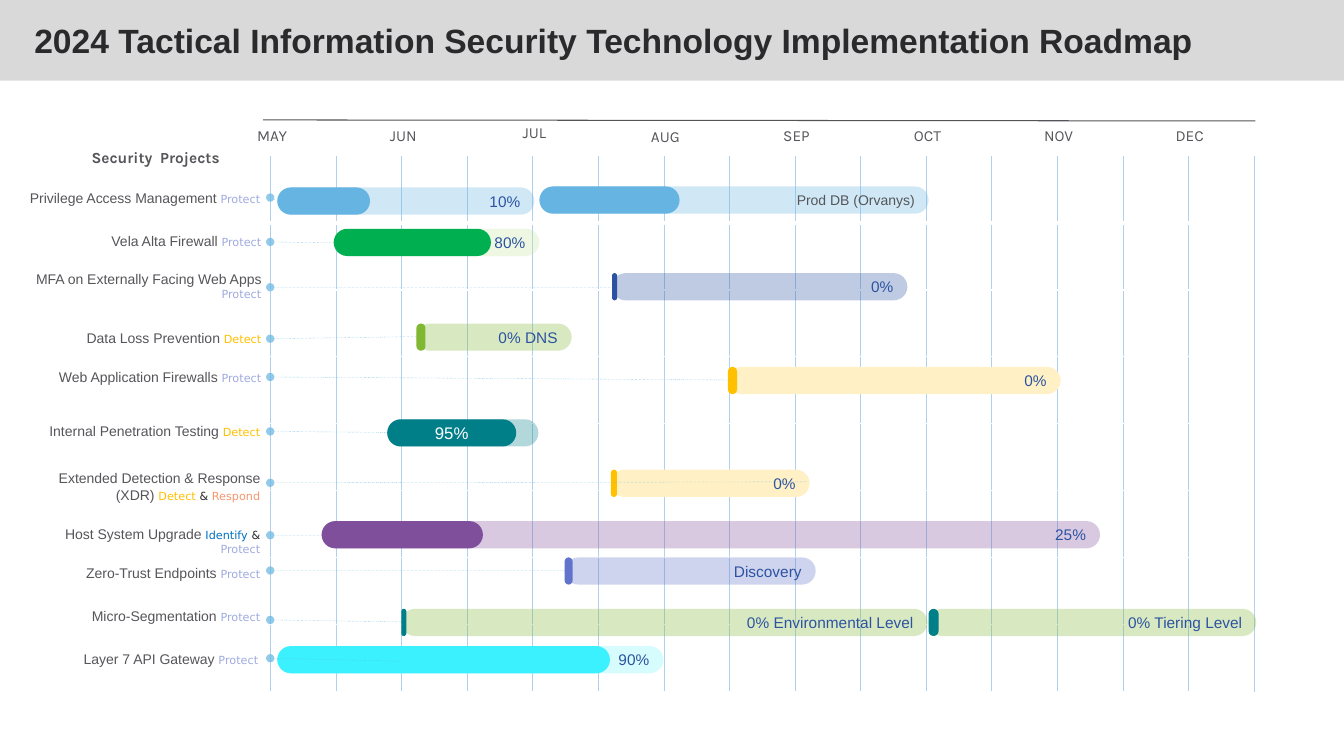
"""Build a one-slide security technology roadmap."""
from collections import namedtuple

from lxml.etree import SubElement
from pptx import Presentation
from pptx.dml.color import RGBColor
from pptx.enum.dml import MSO_LINE
from pptx.enum.shapes import MSO_CONNECTOR, MSO_SHAPE
from pptx.enum.text import MSO_ANCHOR, MSO_AUTO_SIZE, PP_ALIGN
from pptx.oxml.ns import qn
from pptx.util import Inches, Pt

COLORS = {
    "white": "FFFFFF", "banner": "D9D9D9", "title": "2A2A2D", "text": "55555A",
    "axis": "535358", "grid": "B0D1EE", "value": "2C53A1", "sky": "65B4E2",
    "navy": "2C53A1", "lime": "80B733", "teal": "017F88", "purple": "804F9C",
    "indigo": "6173CA", "amber": "FFC000", "cream": "FFF1C5", "green": "00B050",
    "mint": "C9E5A2", "cyan": "3BF1FE", "aqua": "7DF6FE",
    "Protect": "A0ABDF", "Detect": "FFC000", "Respond": "F7966F",
    "Identify": "0070C0", "&": "2A2A2D",
}
MONTH_TOPS = {"MAY": 1.2, "JUN": 1.2, "JUL": 1.17, "AUG": 1.21,
              "SEP": 1.2, "OCT": 1.2, "NOV": 1.2, "DEC": 1.2}
BAR_HEIGHT = 0.27
GRID_LEFT = 2.68

Project = namedtuple("Project", "name tags label_box leader bars")
Bar = namedtuple("Bar", "left top width done_width track done text style",
                 defaults=("track",))
PROJECTS = [
    Project("Privilege Access Management", ["Protect"], (0.13, 1.83, 2.55, 0.27),
            (1.96, 2.75, 1.99),
            [Bar(2.75, 1.86, 2.55, 0.92, "sky", "sky", "10%"),
             Bar(5.35, 1.85, 3.86, 1.39, "sky", "sky", "Prod DB (Orvanys)", "note")]),
    Project("Vela Alta Firewall", ["Protect"], (0.24, 2.26, 2.45, 0.27),
            (2.4, 3.31, 2.41),
            [Bar(3.31, 2.27, 2.04, 1.56, "mint", "green", "80%")]),
    Project("MFA on Externally Facing Web Apps", ["Protect"], (0.24, 2.63, 2.45, 0.44),
            (2.85, 6.07, 2.85),
            [Bar(6.07, 2.71, 2.93, 0.05, "navy", "navy", "0%")]),
    Project("Data Loss Prevention", ["Detect"], (0.24, 3.22, 2.45, 0.27),
            (3.36, 4.13, 3.34),
            [Bar(4.13, 3.21, 1.54, 0.09, "lime", "lime", "0% DNS")]),
    Project("Web Application Firewalls", ["Protect"], (0.24, 3.61, 2.45, 0.27),
            (3.74, 7.26, 3.77),
            [Bar(7.22, 3.64, 3.3, 0.09, "cream", "amber", "0%")]),
    Project("Internal Penetration Testing", ["Detect"], (0.23, 4.14, 2.45, 0.27),
            (4.28, 3.84, 4.29),
            [Bar(3.84, 4.16, 1.5, 1.28, "teal", "teal", "95%", "done")]),
    Project("Extended Detection & Response (XDR)", ["Detect", "&", "Respond"],
            (0.23, 4.61, 2.45, 0.44), (4.79, 8.02, 4.78),
            [Bar(6.06, 4.66, 1.97, 0.06, "cream", "amber", "0%")]),
    Project("Host System Upgrade", ["Identify", "&", "Protect"],
            (0.23, 5.16, 2.45, 0.4), (5.31, 3.19, 5.31),
            [Bar(3.19, 5.17, 7.72, 1.6, "purple", "purple", "25%")]),
    Project("Zero-Trust Endpoints", ["Protect"], (0.23, 5.55, 2.45, 0.27),
            (5.66, 5.6, 5.66),
            [Bar(5.6, 5.53, 2.49, 0.08, "indigo", "indigo", "Discovery")]),
    Project("Micro-Segmentation", ["Protect"], (0.23, 5.98, 2.45, 0.27),
            (6.15, 3.98, 6.17),
            [Bar(3.98, 6.04, 5.22, 0.05, "lime", "teal", "0% Environmental Level"),
             Bar(9.21, 6.04, 3.25, 0.1, "lime", "teal", "0% Tiering Level")]),
    Project("Layer 7 API Gateway", ["Protect"], (0.21, 6.4, 2.45, 0.27),
            (6.53, 3.98, 6.56),
            [Bar(2.75, 6.41, 3.83, 3.3, "aqua", "cyan", "90%")]),
]


def color(name):
    return RGBColor.from_string(COLORS[name])


def set_font(font, size, color_name, name="Arial", bold=False):
    font.name, font.size, font.bold = name, Pt(size), bold
    font.color.rgb = color(color_name)


def set_alpha(element, percent):
    SubElement(element.find(".//" + qn("a:srgbClr")), qn("a:alpha"),
               val=str(percent * 1000))


def add_filled_shape(shapes, kind, box, fill, alpha=100):
    shape = shapes.add_shape(kind, *map(Inches, box))
    shape.shadow.inherit = False
    shape.fill.solid()
    shape.fill.fore_color.rgb = color(fill)
    if alpha < 100:
        set_alpha(shape.element.spPr, alpha)
    shape.line.fill.background()
    return shape


def add_title(slide):
    banner = add_filled_shape(slide.shapes, MSO_SHAPE.RECTANGLE,
                              (0, -0.01, 13.33, 0.81), "banner")
    title = slide.shapes.title
    title.left, title.top, title.width, title.height = map(
        Inches, (0.24, -0.01, 12.21, 0.81))
    title.text = "2024 Tactical Information Security Technology Implementation Roadmap"
    title.text_frame.vertical_anchor = MSO_ANCHOR.MIDDLE
    title.text_frame.auto_size = MSO_AUTO_SIZE.NONE
    paragraph = title.text_frame.paragraphs[0]
    paragraph.alignment = PP_ALIGN.LEFT
    set_font(paragraph.font, 24, "title", bold=True)
    banner.element.addnext(title.element)


def add_border(cell, side, color_name, width):
    line = SubElement(cell._tc.get_or_add_tcPr(), qn("a:ln" + side),
                      w=str(Pt(width)))
    fill = SubElement(line, qn("a:solidFill"))
    SubElement(fill, qn("a:srgbClr"), val=COLORS[color_name])


def add_grid(slide, rows=8, columns=15):
    table = slide.shapes.add_table(rows, columns, Inches(GRID_LEFT), Inches(1.55),
                                   Inches(9.76), Inches(5.31)).table
    table.first_row = table.horz_banding = False
    for row in range(rows):
        for column in range(columns):
            cell = table.cell(row, column)
            add_border(cell, "L", "grid", 0.25)
            add_border(cell, "R", "grid", 0.25)
            add_border(cell, "T", "white", 1)
            add_border(cell, "B", "white", 3 if row == 0 else 1)
            cell.fill.solid()
            cell.fill.fore_color.rgb = color("white")


def add_text_box(slide, box, wrap=True):
    frame = slide.shapes.add_textbox(*map(Inches, box)).text_frame
    frame.word_wrap = wrap
    frame.auto_size = MSO_AUTO_SIZE.SHAPE_TO_FIT_TEXT
    return frame.paragraphs[0]


def add_line(slide, start, end, color_name, width):
    connector = slide.shapes.add_connector(
        MSO_CONNECTOR.STRAIGHT, *map(Inches, (*start, *end)))
    connector.line.color.rgb = color(color_name)
    connector.line.width = Pt(width)
    SubElement(connector.element.spPr, qn("a:effectLst"))
    return connector


def add_timeline(slide):
    for index, (month, top) in enumerate(MONTH_TOPS.items()):
        center = 2.7 + 1.3 * index
        paragraph = add_text_box(slide, (center - 0.27, top, 0.54, 0.29), wrap=False)
        paragraph.text = month
        paragraph.alignment = PP_ALIGN.CENTER
        set_font(paragraph.font, 11, "text", "Karla")
    add_line(slide, (2.61, 1.19), (12.45, 1.2), "axis", 0.75)
    heading = add_text_box(slide, (0.81, 1.42, 1.79, 0.29))
    heading.text = "Security  Projects"
    set_font(heading.font, 11, "text", "Karla", bold=True)


def add_label(slide, project):
    paragraph = add_text_box(slide, project.label_box)
    paragraph.alignment = PP_ALIGN.RIGHT
    run = paragraph.add_run()
    run.text = project.name + " "
    set_font(run.font, 10, "text")
    for index, tag in enumerate(project.tags, start=1):
        run = paragraph.add_run()
        run.text = tag if index == len(project.tags) else tag + " "
        set_font(run.font, 8, tag, "DejaVu Sans")


def add_bar(slide, bar):
    shapes = slide.shapes.add_group_shape().shapes
    parts = []
    for width, fill, alpha in (
            (bar.width, bar.track, 100 if bar.track == "cream" else 30),
            (bar.done_width, bar.done, 100)):
        part = add_filled_shape(shapes, MSO_SHAPE.ROUNDED_RECTANGLE,
                                (bar.left, bar.top, width, BAR_HEIGHT), fill, alpha)
        part.adjustments[0] = 0.5
        parts.append(part)
    inside_done = bar.style == "done"
    frame = parts[inside_done].text_frame
    frame.vertical_anchor = MSO_ANCHOR.MIDDLE
    paragraph = frame.paragraphs[0]
    paragraph.text = bar.text
    paragraph.alignment = PP_ALIGN.CENTER if inside_done else PP_ALIGN.RIGHT
    size, color_name = {"track": (11, "value"), "note": (10, "text"),
                        "done": (12, "white")}[bar.style]
    set_font(paragraph.font, size, color_name)


def add_leader(slide, start_top, end_left, end_top):
    connector = add_line(slide, (GRID_LEFT, start_top), (end_left, end_top), "sky", 0.25)
    connector.line.dash_style = MSO_LINE.DASH_DOT
    line = connector.element.spPr.find(qn("a:ln"))
    set_alpha(line, 69)
    SubElement(line, qn("a:headEnd"), type="oval")


def main():
    presentation = Presentation()
    presentation.slide_width, presentation.slide_height = Inches(13.33), Inches(7.5)
    slide = presentation.slides.add_slide(presentation.slide_layouts[5])
    add_grid(slide)
    add_title(slide)
    add_timeline(slide)
    for project in PROJECTS:
        add_label(slide, project)
        for bar in project.bars:
            add_bar(slide, bar)
        add_leader(slide, *project.leader)
    presentation.save("out.pptx")


if __name__ == "__main__":
    main()
